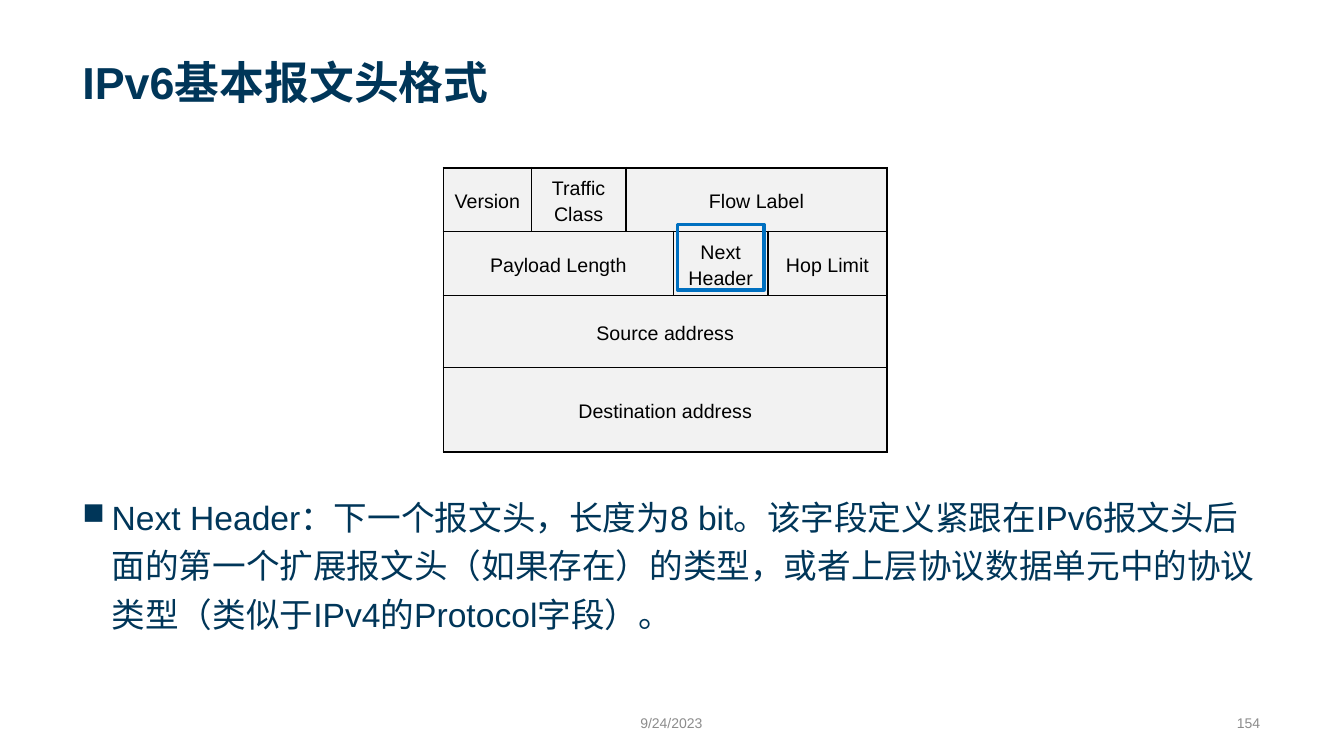
from lxml import etree
from pptx import Presentation
from pptx import util as u
from pptx.dml.color import RGBColor
from pptx.enum import lang, shapes, text
from pptx.oxml import ns

COLORS = {"navy": "003659", "grey": "8C8C8C", "black": "000000",
          "cell": "F2F2F2", "blue": "0070C0"}
ANCHOR, ALIGN = text.MSO_ANCHOR, text.PP_ALIGN


def rgb(name):
    return RGBColor.from_string(COLORS[name])


def write(tf, words, size=14, color="black", bold=False,
          align=ALIGN.LEFT, bullet=None, indent=0.29):
    """Put one formatted paragraph into a text frame."""
    p = tf.paragraphs[0]
    p.alignment, p.line_spacing = align, 1.2
    if bullet:
        pPr = p._p.get_or_add_pPr()
        pPr.set("marL", str(u.Inches(indent)))
        pPr.set("indent", str(-u.Inches(indent)))
        etree.SubElement(pPr, ns.qn("a:buSzPct"), val="90000")
        etree.SubElement(pPr, ns.qn("a:buChar"), char=bullet)
    r = p.add_run()
    r.text = words
    r.font.name, r.font.size, r.font.bold = "Arial", u.Pt(size), bold
    r.font.color.rgb = rgb(color)
    r.font.language_id = lang.MSO_LANGUAGE_ID.SIMPLIFIED_CHINESE


def border(cell, side, width):
    """Draw one edge of a table cell: L, R, T or B."""
    ln = etree.SubElement(cell._tc.get_or_add_tcPr(), ns.qn(f"a:ln{side}"),
                          w=str(u.Pt(width)))
    fill = etree.SubElement(ln, ns.qn("a:solidFill"))
    etree.SubElement(fill, ns.qn("a:srgbClr"), val=COLORS["black"])


class Deck:
    """Lengths are percentages of the slide's width and height."""

    def __init__(self, width, height):
        self.prs = Presentation()
        self.prs.slide_width = u.Inches(width)
        self.prs.slide_height = u.Inches(height)
        self.s = self.prs.slides.add_slide(self.prs.slide_layouts[6])

    def x(self, share):
        return round(self.prs.slide_width * share / 100)

    def y(self, share):
        return round(self.prs.slide_height * share / 100)

    def box(self, left, top, width, height):
        return self.x(left), self.y(top), self.x(width), self.y(height)

    def text(self, place, words, anchor=ANCHOR.TOP, **style):
        tf = self.s.shapes.add_textbox(*self.box(*place)).text_frame
        tf.word_wrap, tf.vertical_anchor = True, anchor
        write(tf, words, **style)

    def frame(self, place, color, width):
        sp = self.s.shapes.add_shape(
            shapes.MSO_SHAPE.FLOWCHART_PROCESS, *self.box(*place))
        sp.shadow.inherit = False
        sp.fill.background()
        sp.line.color.rgb, sp.line.width = rgb(color), u.Pt(width)

    def header_table(self, left, top, cols, rows, fields):
        """Each row of fields is a list of (label, columns spanned)."""
        place = self.box(left, top, sum(cols), sum(rows))
        table = self.s.shapes.add_table(len(rows), len(cols), *place).table
        table.first_row = table.horz_banding = False
        for col, share in zip(table.columns, cols):
            col.width = self.x(share)
        for row, share in zip(table.rows, rows):
            row.height = self.y(share)
        for i, row in enumerate(fields):
            first = 0
            for label, span in row:
                last = first + span - 1
                outer = {"L": first == 0, "R": last == len(cols) - 1,
                         "T": i == 0, "B": i == len(rows) - 1}
                for j in range(first, last + 1):
                    cell = table.cell(i, j)
                    for side, edge in outer.items():
                        if side != "L" or j == first:
                            border(cell, side, 1.5 if edge else 1)
                    cell.fill.solid()
                    cell.fill.fore_color.rgb = rgb("cell")
                cell = table.cell(i, first)
                if span > 1:
                    cell.merge(table.cell(i, last))
                cell.vertical_anchor = ANCHOR.MIDDLE
                # Slim margins let two lines fit the row height
                cell.margin_top = cell.margin_bottom = u.Inches(0.03)
                write(cell.text_frame, label, align=ALIGN.CENTER)
                first = last + 1


def main():
    deck = Deck(13.33, 7.5)

    # Title and explanation
    deck.text((5.4, 1.95, 89.1, 13.07), "IPv6基本报文头格式",
              anchor=ANCHOR.BOTTOM, size=32, color="navy", bold=True)
    deck.text((5.4, 64, 89.1, 25.47),
              "Next Header：下一个报文头，长度为8 bit。该字段定义紧跟在IPv6报文头"
              "后面的第一个扩展报文头（如果存在）的类型，或者上层协议数据单元中的协"
              "议类型（类似于IPv4的Protocol字段）。",
              size=24, color="navy", bullet="■")

    # Footer
    footer = dict(anchor=ANCHOR.MIDDLE, size=10, color="grey")
    deck.text((38.7, 93.47, 22.5, 4), "9/24/2023",
              align=ALIGN.CENTER, **footer)
    deck.text((63.75, 93.47, 30.75, 4), "154", align=ALIGN.RIGHT, **footer)

    # IPv6 header fields
    deck.header_table(
        33, 22.2,
        cols=[6.53, 7.05, 3.52, 7.05, 8.85],
        rows=[8.4, 8.53, 9.47, 11.2],
        fields=[
            [("Version", 1), ("Traffic Class", 1), ("Flow Label", 3)],
            [("Payload Length", 3), ("Next Header", 1), ("Hop Limit", 1)],
            [("Source address", 5)],
            [("Destination address", 5)],
        ])

    # Highlight on the Next Header field
    deck.frame((50.4, 29.7, 6.45, 8.67), "blue", 2.25)

    deck.prs.save("out.pptx")


if __name__ == "__main__":
    main()
